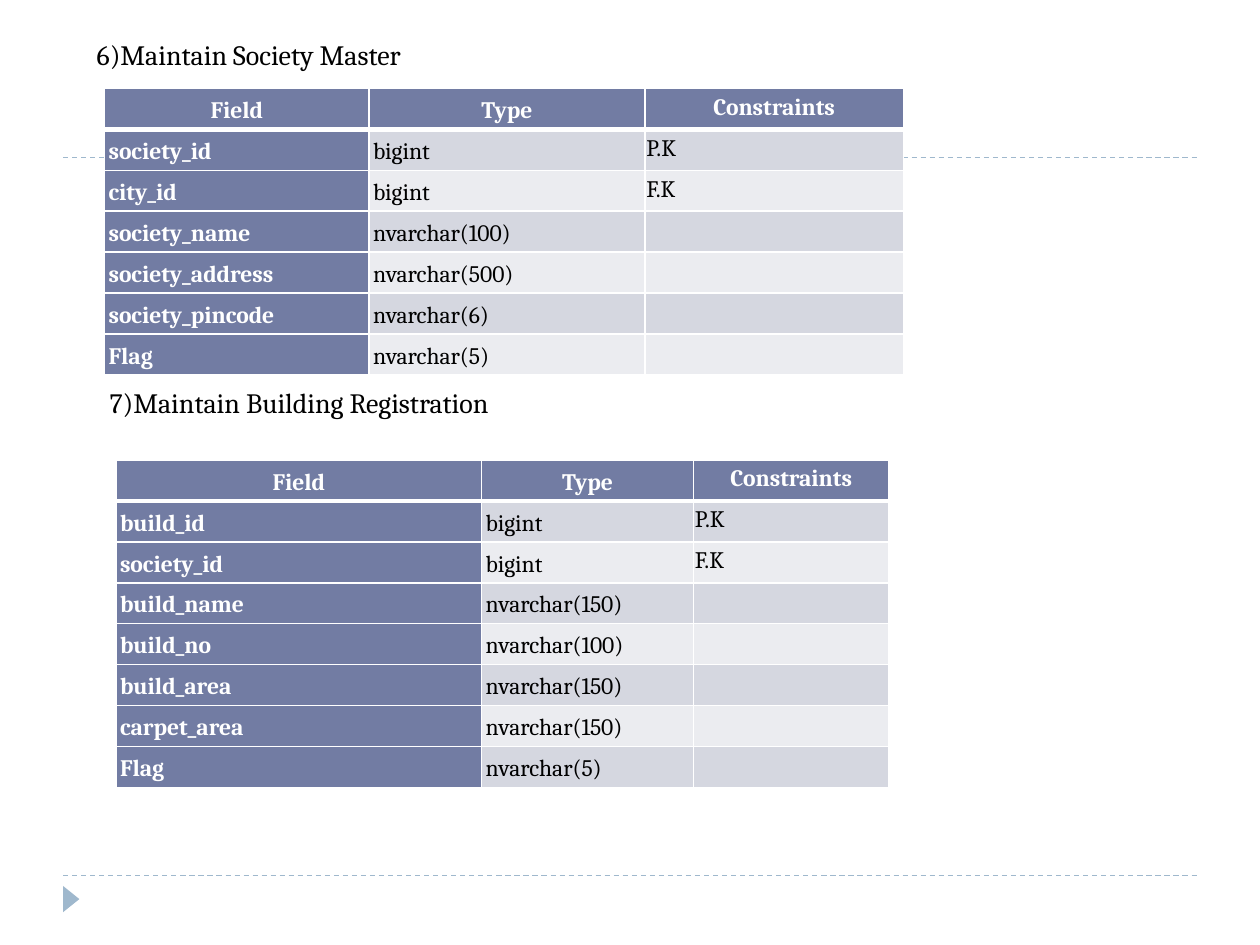
from dataclasses import dataclass

from lxml.etree import SubElement
from pptx import Presentation
from pptx.dml.color import RGBColor
from pptx.enum.dml import MSO_LINE
from pptx.enum.shapes import MSO_CONNECTOR, MSO_SHAPE
from pptx.enum.text import MSO_ANCHOR, PP_ALIGN
from pptx.oxml import parse_xml
from pptx.oxml.ns import nsdecls, qn
from pptx.util import Cm, Pt


@dataclass(frozen=True)
class Theme:
    font: str = "Cambria"
    heading_size: float = 16
    cell_size: float = 13.5
    text: str = "000000"
    white: str = "FFFFFF"
    header: str = "727CA3"
    odd_row: str = "D5D7E0"
    even_row: str = "EBECF0"
    accent: str = "9FB8CD"


theme = Theme()
ROW_HEIGHT = 0.826


def style_text(para, size, color, bold=False):
    for span in para.runs:
        span.font.name = theme.font
        span.font.size = Pt(size)
        span.font.bold = bold
        span.font.color.rgb = RGBColor.from_string(color)


def set_borders(cell, row):
    widths = {"lnL": 1, "lnR": 1, "lnT": 3 if row == 1 else 1, "lnB": 3 if row == 0 else 1}
    properties = cell._tc.get_or_add_tcPr()
    for position, (side, width) in enumerate(widths.items()):
        border = parse_xml(
            f'<a:{side} {nsdecls("a")} w="{Pt(width)}"><a:solidFill>'
            f'<a:srgbClr val="{theme.white}"/></a:solidFill></a:{side}>'
        )
        properties.insert(position, border)


deck = Presentation()
deck.slide_width, deck.slide_height = Cm(25.4), Cm(19.05)
page = deck.slides.add_slide(deck.slide_layouts[6])

# Dashed rules
for top in (17.65, 3.17):
    rule = page.shapes.add_connector(
        MSO_CONNECTOR.STRAIGHT, Cm(1.27), Cm(top), Cm(24.13), Cm(top)
    )
    rule.line.color.rgb = RGBColor.from_string(theme.accent)
    rule.line.width = Pt(0.75)
    rule.line.dash_style = MSO_LINE.DASH
    SubElement(rule._element.spPr, qn("a:effectLst"))

# Footer marker
marker = page.shapes.add_shape(
    MSO_SHAPE.ISOSCELES_TRIANGLE, Cm(1.17), Cm(17.96), Cm(0.53), Cm(0.33)
)
marker.rotation = 90
marker.shadow.inherit = False
marker.fill.solid()
marker.fill.fore_color.rgb = RGBColor.from_string(theme.accent)
marker.line.fill.background()

# Headings: text, left, top, width
headings = [
    ("6)Maintain Society Master", 1.7, 0.64, 6.91),
    ("7)Maintain Building Registration", 1.96, 7.65, 8.48),
]
for heading, left, top, width in headings:
    box = page.shapes.add_textbox(Cm(left), Cm(top), Cm(width), Cm(0.94))
    box.text_frame.word_wrap = True
    box.text_frame.text = heading
    style_text(box.text_frame.paragraphs[0], theme.heading_size, theme.text)

# Tables: left, top, column widths, fields
header_row = ("Field", "Type", "Constraints")
tables = [
    (2.11, 1.78, (5.33, 5.56, 5.21), [
        ("society_id", "bigint", "P.K"),
        ("city_id", "bigint", "F.K"),
        ("society_name", "nvarchar(100)", ""),
        ("society_address", "nvarchar(500)", ""),
        ("society_pincode", "nvarchar(6)", ""),
        ("Flag", "nvarchar(5)", ""),
    ]),
    (2.34, 9.27, (7.37, 4.27, 3.94), [
        ("build_id", "bigint", "P.K"),
        ("society_id", "bigint", "F.K"),
        ("build_name", "nvarchar(150)", ""),
        ("build_no", "nvarchar(100)", ""),
        ("build_area", "nvarchar(150)", ""),
        ("carpet_area", "nvarchar(150)", ""),
        ("Flag", "nvarchar(5)", ""),
    ]),
]
for left, top, widths, fields in tables:
    rows = [header_row, *fields]
    table = page.shapes.add_table(
        len(rows), len(widths), Cm(left), Cm(top),
        Cm(sum(widths)), Cm(ROW_HEIGHT * len(rows)),
    ).table
    for column, width in zip(table.columns, widths):
        column.width = Cm(width)
    for row, values in enumerate(rows):
        table.rows[row].height = Cm(ROW_HEIGHT)
        band = theme.odd_row if row % 2 else theme.even_row
        for column, value in enumerate(values):
            cell = table.cell(row, column)
            is_header = row == 0 or column == 0
            is_constraint = column == 2
            margin = Cm(0.03 if is_constraint else 0.08)
            cell.margin_left = cell.margin_right = margin
            cell.margin_top = cell.margin_bottom = margin
            cell.vertical_anchor = MSO_ANCHOR.TOP if is_constraint else MSO_ANCHOR.MIDDLE
            cell.fill.solid()
            cell.fill.fore_color.rgb = RGBColor.from_string(theme.header if is_header else band)
            set_borders(cell, row)
            if value:
                para = cell.text_frame.paragraphs[0]
                para.text = value
                para.line_spacing = 1.15
                para.alignment = PP_ALIGN.CENTER if row == 0 else PP_ALIGN.LEFT
                color = theme.white if is_header else theme.text
                style_text(para, theme.cell_size, color, is_header)

deck.save("out.pptx")
